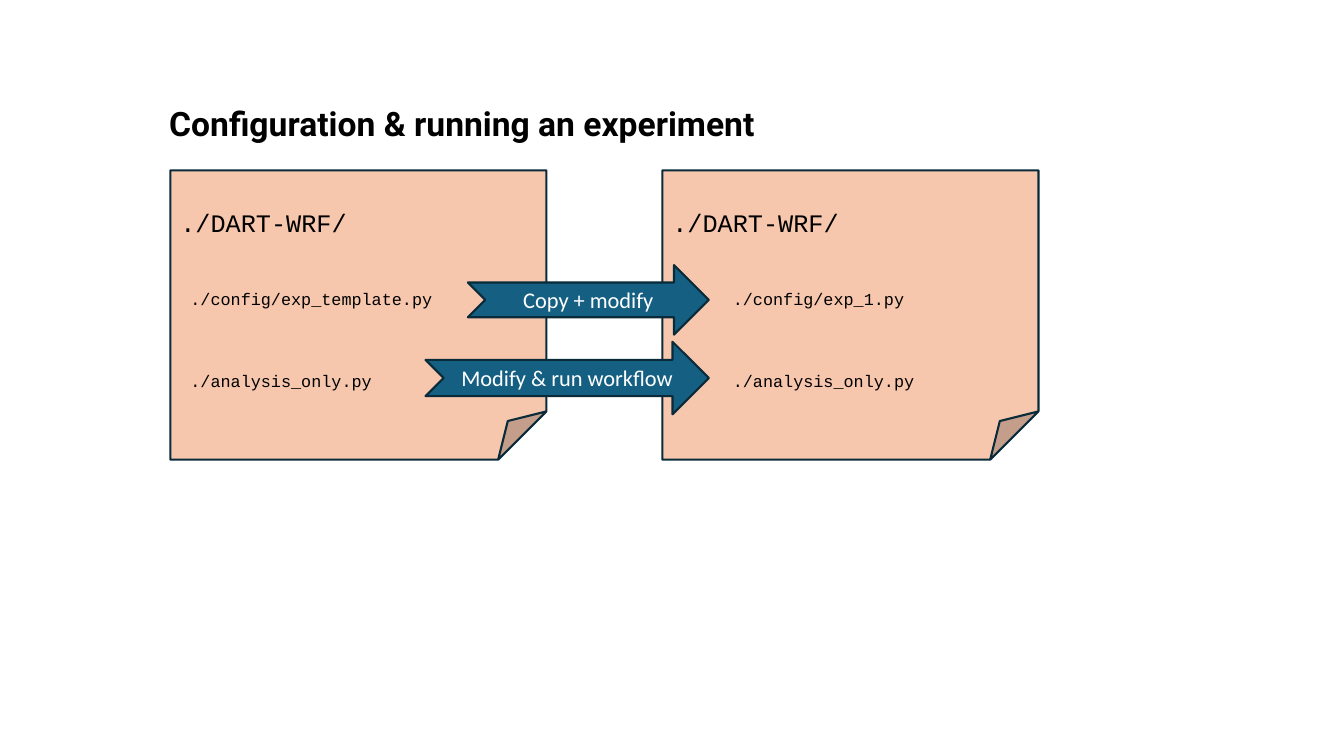
from pptx import Presentation
from pptx import util as u
from pptx.dml.color import RGBColor
from pptx.enum import shapes, text

COLORS = {"page": "F6C6AD", "arrow": "156082", "line": "092A39",
          "dark": "000000", "light": "FFFFFF"}

prs = Presentation()
prs.slide_width, prs.slide_height = u.Inches(13.33), u.Inches(7.5)
s = prs.slides.add_slide(prs.slide_layouts[6])


def add_box(kind, left, top, width, height, fill):
    sp = s.shapes.add_shape(kind, *map(u.Inches, (left, top, width, height)))
    sp.shadow.inherit = False
    sp.fill.solid()
    sp.fill.fore_color.rgb = RGBColor.from_string(COLORS[fill])
    sp.line.color.rgb = RGBColor.from_string(COLORS["line"])
    sp.line.width = u.Pt(1.5)
    return sp


def style(p, font, size, color, align=text.PP_ALIGN.LEFT):
    p.alignment = align
    p.font.name, p.font.size = font, u.Pt(size)
    p.font.color.rgb = RGBColor.from_string(COLORS[color])


# Title
tf = s.shapes.add_textbox(*map(u.Inches, (1.58, 0.97, 7.28, 0.5))).text_frame
tf.word_wrap = True
p = tf.paragraphs[0]
p.text = "Configuration & running an experiment"
style(p, "Roboto", 24, "dark")
p.font.bold = True

# Folder pages: heading, then indented files
page_left, page_top, page_pitch = 1.69, 1.69, 4.88
pages = [("./config/exp_template.py", 0.1), ("./config/exp_1.py", 0.6)]
for col, (config, indent) in enumerate(pages):
    sp = add_box(shapes.MSO_SHAPE.FOLDED_CORNER, page_left + col * page_pitch,
                 page_top, 3.73, 2.87, "page")
    tf = sp.text_frame
    tf.vertical_anchor = text.MSO_ANCHOR.TOP
    tf.margin_top = u.Inches(0.37)
    p = tf.paragraphs[0]
    p.text = "./DART-WRF/"
    style(p, "Courier New", 18, "dark")
    for name, gap in ((config, 36.5), ("./analysis_only.py", 44)):
        p = tf.add_paragraph()
        p.text = name
        p.space_before = u.Pt(gap)
        pPr = p._p.get_or_add_pPr()
        pPr.set("marL", str(u.Inches(indent)))
        pPr.set("indent", "0")
        style(p, "Courier New", 12, "dark")

# Arrows share one tip position
arrow_tip = 7.03
arrows = [("Copy + modify", 2.63, 2.39, 0.69),
          ("Modify & run workflow", 3.39, 2.81, 0.72)]
for label, top, width, height in arrows:
    sp = add_box(shapes.MSO_SHAPE.NOTCHED_RIGHT_ARROW, arrow_tip - width, top,
                 width, height, "arrow")
    tf = sp.text_frame
    tf.vertical_anchor = text.MSO_ANCHOR.MIDDLE
    p = tf.paragraphs[0]
    p.text = label
    style(p, "Calibri", 16, "light", text.PP_ALIGN.CENTER)

prs.save("out.pptx")
